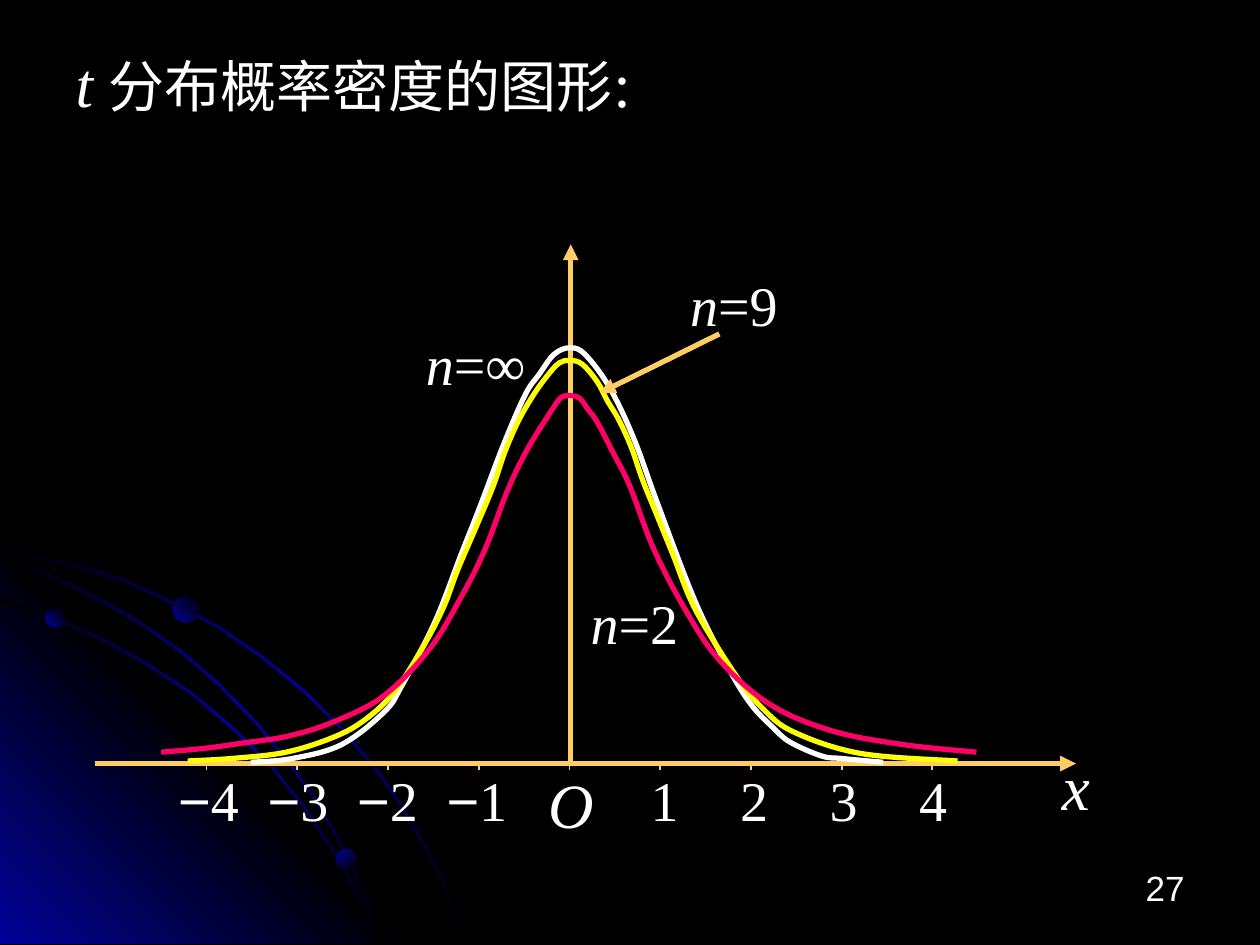
from copy import deepcopy

from lxml import etree
from pptx import Presentation
from pptx.dml.color import RGBColor
from pptx.enum import shapes, text
from pptx.oxml import ns
from pptx.util import Inches, Pt

WHITE, BLACK, NAVY, GOLD = "FFFFFF", "000000", "010199", "FFCC66"
SERIF = "Times New Roman"

ARCS = [
    [(0, 0.35), (0.28, 0.41), (0.57, 0.47), (0.98, 0.59), (1.36, 0.77), (1.74, 0.97),
     (2.09, 1.21), (2.42, 1.48), (2.72, 1.78), (3, 2.11), (3.25, 2.48), (3.39, 2.73),
     (3.52, 2.98), (3.62, 3.23), (3.72, 3.49)],
    [(0, 0.75), (0.41, 0.88), (0.79, 1.05), (1.17, 1.26), (1.52, 1.49), (1.84, 1.76),
     (2.15, 2.06), (2.42, 2.4), (2.66, 2.76), (2.86, 3.12), (2.96, 3.3), (3.03, 3.49)],
    [(0, 0.42), (0.39, 0.55), (0.76, 0.73), (1.11, 0.93), (1.44, 1.16), (1.75, 1.43),
     (2.04, 1.73), (2.29, 2.03), (2.54, 2.39), (2.69, 2.65), (2.82, 2.93), (2.94, 3.2),
     (3.03, 3.49)],
]
WEDGE = [(0, 0.27), (3.22, 3.49), (0, 3.49)]
PLANETS = [(0.36, 0.83, 0.15, 315), (2.67, 2.74, 0.16, 45), (1.37, 0.73, 0.21, 315)]

DENSITIES = {
    WHITE: [(1.99, 4.05), (2.32, 4.02), (2.71, 3.91), (3.05, 3.65), (3.19, 3.44),
            (3.45, 2.94), (3.66, 2.4), (3.81, 2.02), (4, 1.52), (4.17, 1.13), (4.28, 0.97),
            (4.4, 0.81), (4.53, 0.76), (4.65, 0.82), (4.84, 1.08), (5.03, 1.48), (5.22, 2),
            (5.52, 2.78), (5.78, 3.3), (5.96, 3.59), (6.13, 3.77), (6.27, 3.89), (6.52, 4),
            (6.68, 4.02), (7.01, 4.05)],
    "FFFF00": [(1.49, 4.04), (1.84, 4.02), (2.27, 3.97), (2.65, 3.85), (2.9, 3.71),
               (3.13, 3.49), (3.36, 3.13), (3.52, 2.82), (3.63, 2.53), (3.78, 2.18),
               (3.91, 1.87), (4.01, 1.58), (4.12, 1.33), (4.25, 1.11), (4.37, 0.95),
               (4.44, 0.88), (4.52, 0.86), (4.62, 0.89), (4.74, 1.03), (4.82, 1.18),
               (4.91, 1.33), (5.01, 1.55), (5.1, 1.81), (5.21, 2.08), (5.34, 2.4),
               (5.52, 2.84), (5.84, 3.36), (6.05, 3.62), (6.3, 3.81), (6.83, 3.98),
               (7.6, 4.04)],
    "FF0066": [(1.28, 3.97), (1.62, 3.94), (1.91, 3.9), (2.3, 3.84), (2.67, 3.72),
               (3.05, 3.52), (3.41, 3.15), (3.66, 2.74), (3.85, 2.36), (4.03, 1.89),
               (4.19, 1.56), (4.39, 1.24), (4.46, 1.15), (4.53, 1.14), (4.6, 1.16),
               (4.66, 1.24), (4.74, 1.35), (4.87, 1.6), (5, 1.86), (5.19, 2.36),
               (5.44, 2.84), (5.71, 3.24), (6.11, 3.59), (6.6, 3.8), (7.17, 3.91),
               (7.75, 3.97)],
}


def rgb(value):
    return RGBColor.from_string(value)


def outline(slide, box, points, close):
    spots = [(Inches(box[0] + x), Inches(box[1] + y)) for x, y in points]
    builder = slide.shapes.build_freeform(*spots[0], scale=1.0)
    builder.add_line_segments(spots[1:], close=close)
    drawn = builder.convert_to_shape()
    drawn.shadow.inherit = False
    return drawn


def shade(part, colors, angle):
    part.fill.gradient()
    part.fill.gradient_angle = 360 - angle
    stop_list = part._element.spPr.find(".//" + ns.qn("a:gsLst"))
    while len(stop_list) < len(colors):
        stop_list.append(deepcopy(stop_list[-1]))
    for i, (stop, color) in enumerate(zip(part.fill.gradient_stops, colors)):
        stop.color.rgb = rgb(color)
        stop.position = i / (len(colors) - 1)
    part.line.fill.background()


def smooth(curve):
    track = curve._element.spPr.find(".//" + ns.qn("a:pathLst"))[0]
    knots = [(int(pt.get("x")), int(pt.get("y"))) for pt in track.iter(ns.qn("a:pt"))]
    for straight in track.findall(ns.qn("a:lnTo")):
        track.remove(straight)
    padded = [knots[0], *knots, knots[-1]]
    for before, start, end, after in zip(padded, padded[1:], padded[2:], padded[3:]):
        bend = etree.SubElement(track, ns.qn("a:cubicBezTo"))
        leave = [s + (e - b) / 6 for b, s, e in zip(before, start, end)]
        arrive = [e - (a - s) / 6 for s, e, a in zip(start, end, after)]
        for x, y in (leave, arrive, end):
            etree.SubElement(bend, ns.qn("a:pt"), x=str(round(x)), y=str(round(y)))


def segment(slide, box, start, end, width, arrow=False):
    ends = [Inches(box[i] + point[i]) for point in (start, end) for i in (0, 1)]
    line = slide.shapes.add_connector(shapes.MSO_CONNECTOR.STRAIGHT, *ends)
    line.line.color.rgb = rgb(GOLD)
    line.line.width = Pt(width)
    if arrow:
        etree.SubElement(line.line._get_or_add_ln(), ns.qn("a:tailEnd"), type="triangle")
    etree.SubElement(line._element.spPr, ns.qn("a:effectLst"))


def add_run(paragraph, words, size, font=SERIF, italic=False):
    run = paragraph.add_run()
    run.text = words
    run.font.size = Pt(size)
    run.font.name = font
    run.font.italic = italic
    run.font.color.rgb = rgb(WHITE)
    return run


def label(slide, box, place, runs, align=text.PP_ALIGN.CENTER, before=3):
    left, top, width, height = place
    frame = slide.shapes.add_textbox(Inches(box[0] + left), Inches(box[1] + top),
                                     Inches(width), Inches(height)).text_frame
    frame.word_wrap = True
    paragraph = frame.paragraphs[0]
    paragraph.alignment = align
    paragraph.space_before = Pt(before)
    for run in runs:
        add_run(paragraph, *run)


def corner_orbits(slide, box):
    def arc(edge):
        last = len(edge) - 1
        inner = [(max(0, x - 0.02 * i / last), y + 0.03 * (1 - i / last))
                 for i, (x, y) in enumerate(edge)]
        shade(outline(slide, box, edge + inner[::-1], True), [BLACK, NAVY, BLACK], 45)

    arc(ARCS[0])
    shade(outline(slide, box, WEDGE, True), [NAVY, BLACK, NAVY], 315)
    for edge in ARCS[1:]:
        arc(edge)
    for x, y, size, angle in PLANETS:
        planet = slide.shapes.add_shape(shapes.MSO_SHAPE.OVAL, Inches(box[0] + x),
                                        Inches(box[1] + y), Inches(size), Inches(size))
        planet.shadow.inherit = False
        shade(planet, [NAVY, BLACK], angle)


def density_plot(slide, box):
    segment(slide, box, (0.75, 4.06), (8.54, 4.06), 3, True)
    segment(slide, box, (4.53, 4.05), (4.53, -0.06), 3, True)
    for color, knots in DENSITIES.items():
        curve = outline(slide, box, knots, False)
        smooth(curve)
        curve.fill.background()
        curve.line.color.rgb = rgb(color)
        curve.line.width = Pt(3)
    for value in range(-4, 5):
        tick = 4.52 + 0.72 * value
        segment(slide, box, (tick, 4.06), (tick, 4.11), 1)
        if value:
            left = 4.92 + 0.71 * (value - 1) if value > 0 else 3.43 + 0.71 * (value + 1)
            sign = [("−", 32, "Arial")] if value < 0 else []
            label(slide, box, (left, 4.03, 0.71, 0.63), sign + [(str(abs(value)), 32)])
    segment(slide, box, (5.71, 0.65), (4.76, 1.12), 3, True)
    for left, top, width, freedom in [(2.95, 0.57, 1.65, "∞"), (5.08, 0.1, 1.49, "9"),
                                      (4.29, 2.62, 1.49, "2")]:
        label(slide, box, (left, top, width, 0.63),
              [("n", 32, SERIF, True), ("=" + freedom, 32)])
    for left, top, name in [(3.9, 4.03, "O"), (7.91, 3.88, "x")]:
        label(slide, box, (left, top, 1.26, 0.7), [(name, 36, SERIF, True)])


def heading(slide, box):
    title = slide.shapes.title
    title.left, title.top, title.width, title.height = map(Inches, box)
    frame = title.text_frame
    frame.vertical_anchor = text.MSO_ANCHOR.TOP
    paragraph = frame.paragraphs[0]
    paragraph.alignment = text.PP_ALIGN.LEFT
    add_run(paragraph, "t ", 36, italic=True)
    topic = add_run(paragraph, "分布概率密度的图形", 32, "Noto Sans CJK SC")
    etree.SubElement(topic.font._element, ns.qn("a:ea"), typeface="Noto Sans CJK SC")
    add_run(paragraph, ":", 36)


def main():
    deck = Presentation()
    deck.slide_width, deck.slide_height = Inches(10), Inches(7.5)
    slide = deck.slides.add_slide(deck.slide_layouts[5])
    slide.background.fill.solid()
    slide.background.fill.fore_color.rgb = rgb(BLACK)
    corner_orbits(slide, (0, 4))
    label(slide, (0, 0), (7.17, 6.83, 2.33, 0.5), [("27", 20, "Arial")],
          text.PP_ALIGN.RIGHT, 0)
    density_plot(slide, (0, 2))
    heading(slide, (0.5, 0.3, 9, 1.25))
    deck.save("out.pptx")


if __name__ == "__main__":
    main()
